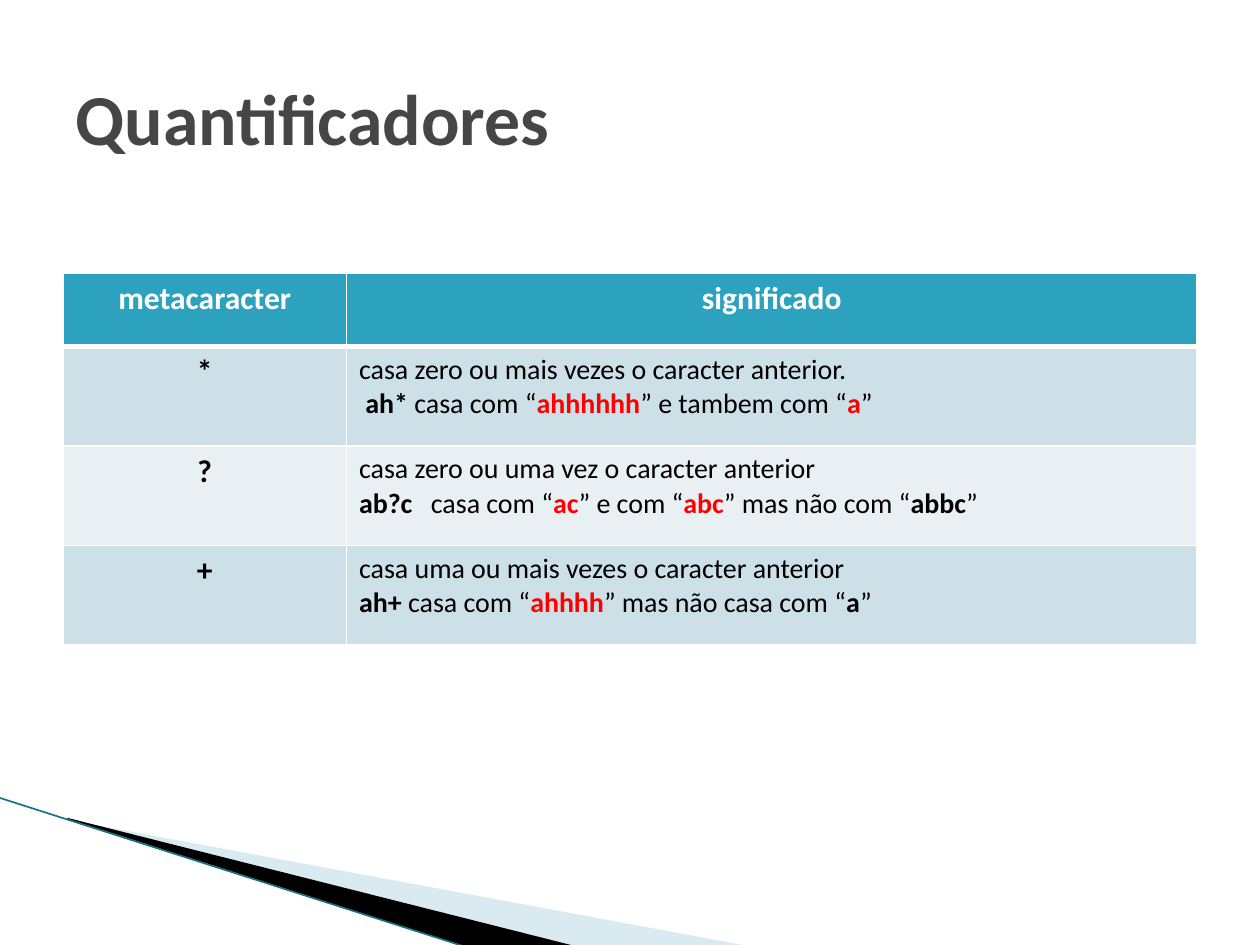
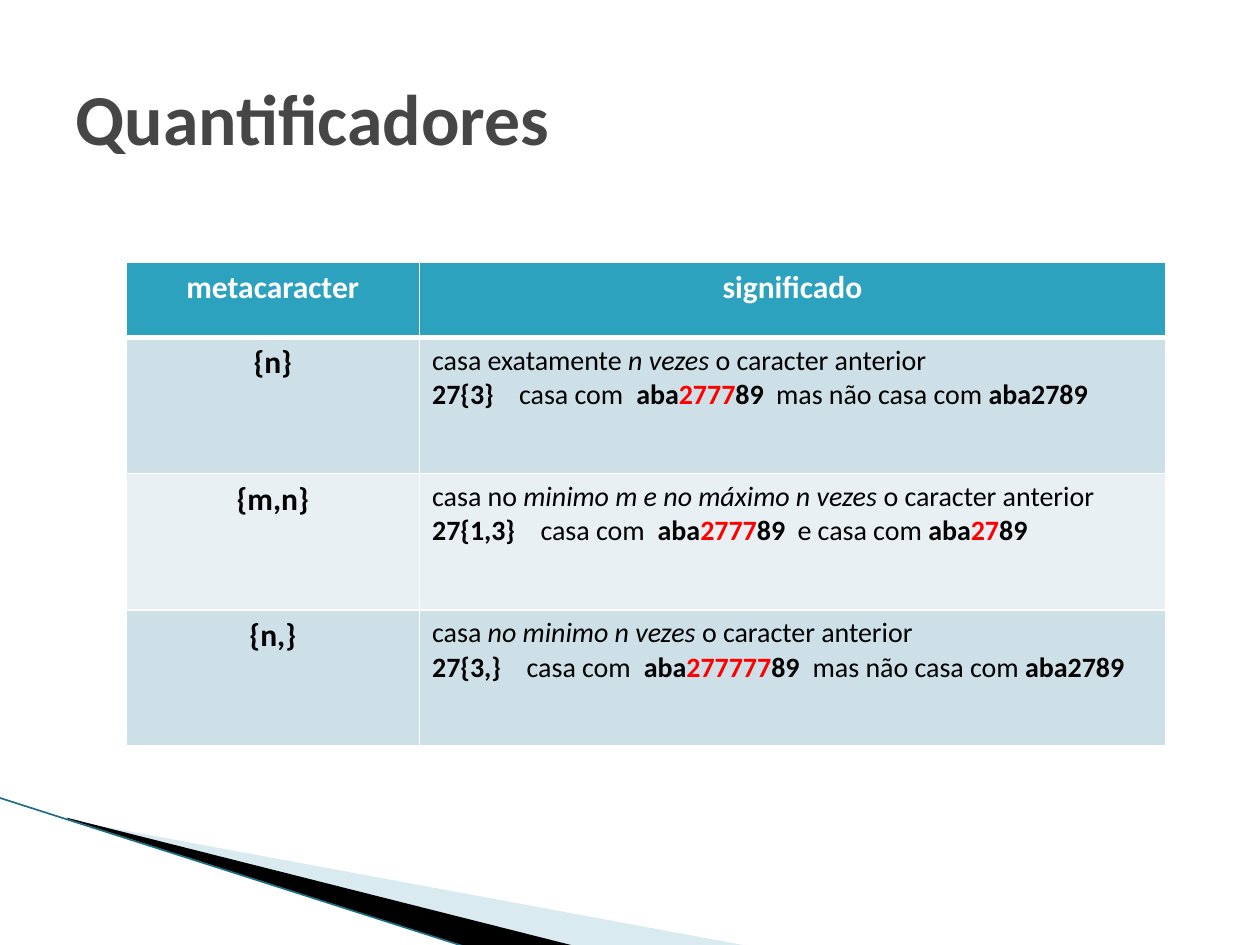
from lxml import etree
from pptx import Presentation
from pptx.dml.color import RGBColor
from pptx.enum.shapes import MSO_CONNECTOR
from pptx.enum.text import MSO_ANCHOR, PP_ALIGN
from pptx.oxml.ns import qn
from pptx.util import Inches, Pt

CENTER, LEFT = PP_ALIGN.CENTER, PP_ALIGN.LEFT
MIDDLE = MSO_ANCHOR.MIDDLE
STRAIGHT = MSO_CONNECTOR.STRAIGHT

FONT = "Calibri"
WHITE = RGBColor(0xFF, 0xFF, 0xFF)
BLACK = RGBColor(0, 0, 0)
RED = RGBColor(0xFF, 0, 0)
TITLE_GRAY = RGBColor(0x46, 0x46, 0x46)
HEADER_TEAL = RGBColor(0x2D, 0xA2, 0xBF)
BANDS = [RGBColor(0xCD, 0xE0, 0xE8), RGBColor(0xE8, 0xF0, 0xF4)]
WEDGE_BLUE = RGBColor(0xA0, 0xCB, 0xDC)
EDGE_TEAL = RGBColor(0x1C, 0x6F, 0x84)

WIDTH, HEIGHT = 10, 7.5
WEDGES = [
    ([(0.55, 6.51), (5.95, 7.51), (4.56, 7.51), (0.55, 6.5)], WEDGE_BLUE, 40),
    ([(0.53, 6.49), (4.57, 7.51), (3.72, 7.52), (0.54, 6.5)], BLACK, 100),
]
EDGE = (-0.01, 6.33, 3.71, 7.52)

STYLES = {
    "title": {"size": Pt(41), "bold": True, "color": TITLE_GRAY},
    "header": {"size": Pt(18), "bold": True, "color": WHITE},
    "symbol": {"size": Pt(18), "bold": True, "color": BLACK},
    "plain": {"size": Pt(16), "bold": False, "color": BLACK},
    "italic": {"size": Pt(16), "bold": False, "italic": True, "color": BLACK},
    "bold": {"size": Pt(16), "bold": True, "color": BLACK},
    "match": {"size": Pt(16), "bold": True, "color": RED},
}

TITLE = "Quantificadores"
HEADERS = ["metacaracter", "significado"]

SLIDES = [
    {
        "left": 0.5, "top": 2.17, "columns": [2.25, 6.75], "header": 0.58, "row": 0.79,
        "rows": [
            ("*", [("casa zero ou mais vezes o caracter anterior.", "plain")],
             [("\tah* ", "bold"), ("casa com “", "plain"), ("ahhhhhh", "match"),
              ("” e tambem com “", "plain"), ("a", "match"), ("”", "plain")],
             [0.05]),
            ("?", [("casa zero ou uma vez o caracter anterior", "plain")],
             [("ab?c\t", "bold"), ("casa com “", "plain"), ("ac", "match"),
              ("” e com “", "plain"), ("abc", "match"), ("” mas não com “", "plain"),
              ("abbc", "bold"), ("”", "plain")],
             [0.57]),
            ("+", [("casa uma ou mais vezes o caracter anterior", "plain")],
             [("ah+ ", "bold"), ("casa com “", "plain"), ("ahhhh", "match"),
              ("” mas não casa com “", "plain"), ("a", "bold"), ("”", "plain")],
             []),
        ],
    },
    {
        "left": 1, "top": 2.08, "columns": [2.33, 5.92], "header": 0.6, "row": 1.08,
        "rows": [
            ("{n}", [("casa exatamente ", "plain"), ("n vezes ", "italic"),
                     ("o caracter anterior", "plain")],
             [("27{3}\t", "bold"), ("casa com\t", "plain"), ("aba", "bold"),
              ("2777", "match"), ("89\t", "bold"), ("mas não casa com ", "plain"),
              ("aba2789", "bold")],
             [0.69, 1.62, 2.73]),
            ("{m,n}", [("casa no ", "plain"), ("minimo m e no máximo n vezes ", "italic"),
                       ("o caracter anterior", "plain")],
             [("27{1,3}\t", "bold"), ("casa com\t", "plain"), ("aba", "bold"),
              ("2777", "match"), ("89\t", "bold"), ("e casa com ", "plain"),
              ("aba", "bold"), ("27", "match"), ("89", "bold")],
             [0.86, 1.79, 2.9]),
            ("{n,}", [("casa ", "plain"), ("no minimo n vezes ", "italic"),
                      ("o caracter anterior", "plain")],
             [("27{3,}\t", "bold"), ("casa com\t", "plain"), ("aba", "bold"),
              ("277777", "match"), ("89\t", "bold"), ("mas não casa com ", "plain"),
              ("aba2789", "bold")],
             [0.75, 1.68, 3.02]),
        ],
    },
]


def write_paragraph(paragraph, runs, alignment=LEFT, tab_stops=()):
    paragraph.alignment = alignment
    if tab_stops:
        tab_list = etree.SubElement(paragraph._p.get_or_add_pPr(), qn("a:tabLst"))
        for position in tab_stops:
            etree.SubElement(tab_list, qn("a:tab"), pos=str(Inches(position)), algn="l")
    for text, style in runs:
        run = paragraph.add_run()
        run.text = text
        run.font.name = FONT
        for name, value in STYLES[style].items():
            if name == "color":
                run.font.color.rgb = value
            else:
                setattr(run.font, name, value)


def format_cell(cell, color, top, bottom):
    properties = cell._tc.get_or_add_tcPr()
    for side, points in {"L": 1, "R": 1, "T": top, "B": bottom}.items():
        line = etree.SubElement(properties, qn(f"a:ln{side}"), w=str(Pt(points)))
        fill = etree.SubElement(line, qn("a:solidFill"))
        etree.SubElement(fill, qn("a:srgbClr"), val=str(WHITE))
    cell.fill.solid()
    cell.fill.fore_color.rgb = color


def add_decoration(slide):
    for points, color, opacity in WEDGES:
        corners = [(Inches(x), Inches(y)) for x, y in points]
        builder = slide.shapes.build_freeform(*corners[0])
        builder.add_line_segments(corners[1:], close=True)
        wedge = builder.convert_to_shape()
        wedge.shadow.inherit = False
        wedge.line.fill.background()
        wedge.fill.solid()
        wedge.fill.fore_color.rgb = color
        if opacity < 100:
            shade = wedge._element.spPr.find(".//" + qn("a:srgbClr"))
            etree.SubElement(shade, qn("a:alpha"), val=str(opacity * 1000))
    edge = slide.shapes.add_connector(STRAIGHT, *map(Inches, EDGE))
    edge.line.color.rgb = EDGE_TEAL
    edge.line.width = Pt(0.95)
    etree.SubElement(edge._element.spPr, qn("a:effectLst"))


def add_title(slide):
    margin = WIDTH / 20
    box = slide.shapes.add_textbox(
        Inches(margin), Inches(HEIGHT / 25), Inches(WIDTH - 2 * margin), Inches(HEIGHT / 6))
    box.text_frame.word_wrap = True
    box.text_frame.vertical_anchor = MIDDLE
    write_paragraph(box.text_frame.paragraphs[0], [(TITLE, "title")])


def add_quantifiers(slide, content):
    rows, columns = content["rows"], content["columns"]
    heights = [content["header"]] + [content["row"]] * len(rows)
    table = slide.shapes.add_table(
        len(heights), len(columns), Inches(content["left"]), Inches(content["top"]),
        Inches(sum(columns)), Inches(sum(heights))).table
    table.horz_banding = False
    for column, width in zip(table.columns, columns):
        column.width = Inches(width)
    for row, height in zip(table.rows, heights):
        row.height = Inches(height)
    for cell, text in zip(table.rows[0].cells, HEADERS):
        format_cell(cell, HEADER_TEAL, 1, 3)
        write_paragraph(cell.text_frame.paragraphs[0], [(text, "header")], CENTER)
    for index, (symbol, meaning, example, tab_stops) in enumerate(rows):
        symbol_cell, meaning_cell = table.rows[index + 1].cells
        for cell in (symbol_cell, meaning_cell):
            format_cell(cell, BANDS[index % 2], 1 if index else 3, 1)
        write_paragraph(symbol_cell.text_frame.paragraphs[0], [(symbol, "symbol")], CENTER)
        frame = meaning_cell.text_frame
        write_paragraph(frame.paragraphs[0], meaning)
        write_paragraph(frame.add_paragraph(), example, tab_stops=tab_stops)


def main():
    presentation = Presentation()
    presentation.slide_width = Inches(WIDTH)
    presentation.slide_height = Inches(HEIGHT)
    for content in SLIDES:
        slide = presentation.slides.add_slide(presentation.slide_layouts[6])
        add_decoration(slide)
        add_title(slide)
        add_quantifiers(slide, content)
    presentation.save("out.pptx")


if __name__ == "__main__":
    main()
